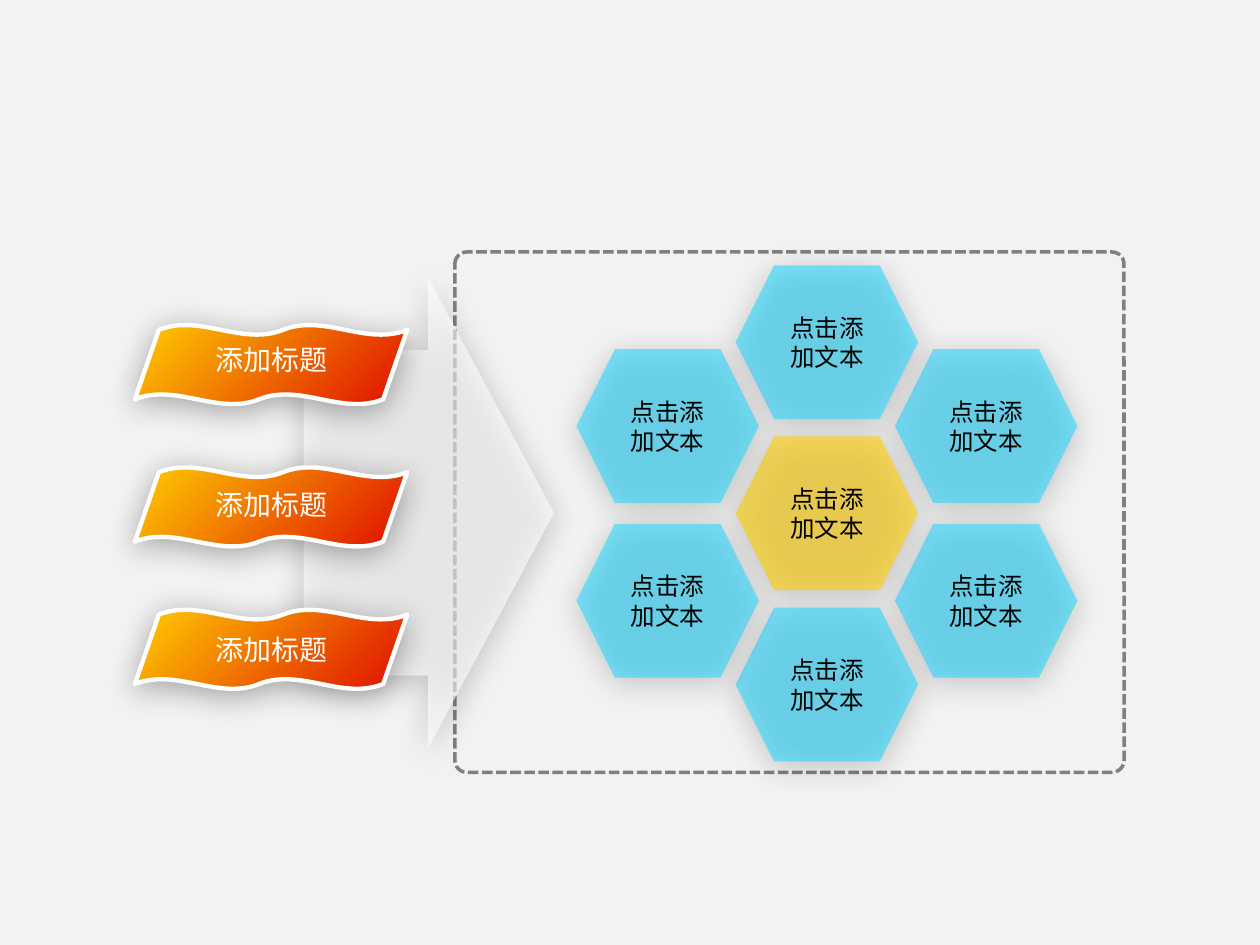
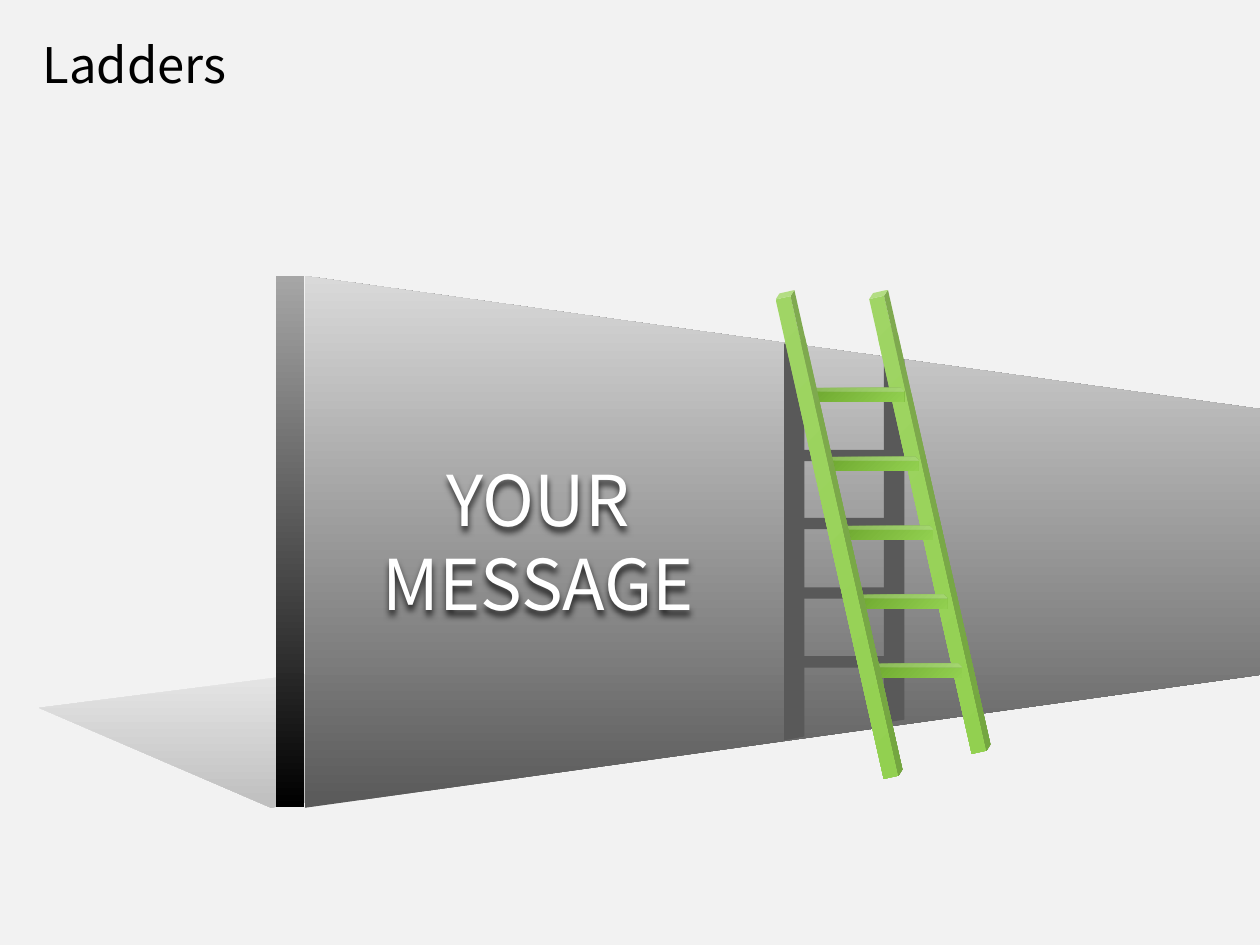
from lxml import etree
from pptx import Presentation
from pptx.dml.color import RGBColor
from pptx.enum.dml import MSO_LINE
from pptx.enum.shapes import MSO_SHAPE as Preset
from pptx.enum.text import MSO_ANCHOR as Anchor, PP_ALIGN as Align
from pptx.oxml import parse_xml
from pptx.oxml.ns import nsdecls, qn
from pptx.util import Cm, Pt

COLORS = {
    "background": "F2F2F2", "black": "000000", "white": "FFFFFF",
    "frame": "808080", "blue": "2DD7FF", "yellow": "FFCF01", "red": "E22000",
    "floor": "BFBFBF", "wall_dark": "595959", "wall_light": "D9D9D9",
    "edge_light": "A6A6A6", "green": "92D050", "green_light": "A0D565",
    "green_dark": "6BA42C",
}
CHINESE = "Noto Sans CJK SC"
LATIN = "Noto Sans CJK KR"
SOFT_SHADOW = dict(alpha=33, blur=17.8, distance=3, angle=87)
TEXT_SHADOW = dict(alpha=75, blur=4, distance=3, angle=90)


def rgb(name):
    return RGBColor.from_string(COLORS[name])


class Deck:
    def __init__(self):
        self.presentation = Presentation()
        self.presentation.slide_width = Cm(25.4)
        self.presentation.slide_height = Cm(19.05)
        self.slide = None

    def add_slide(self):
        self.slide = self.presentation.slides.add_slide(self.presentation.slide_layouts[6])
        fill = self.slide.background.fill
        fill.solid()
        fill.fore_color.rgb = rgb("background")

    def plain(self, shape, fill=None, alpha=None):
        """Remove the theme's shadow and line, and set a solid fill or none."""
        shape.shadow.inherit = False
        shape.line.fill.background()
        if fill is None:
            shape.fill.background()
            return
        shape.fill.solid()
        shape.fill.fore_color.rgb = rgb(fill)
        if alpha is not None:
            color = shape._element.spPr.find(qn("a:solidFill"))[0]
            etree.SubElement(color, qn("a:alpha"), val=str(alpha * 1000))

    def shape(self, preset, left, top, width, height, fill=None, alpha=None,
              adjustments=(), rotation=0):
        shape = self.slide.shapes.add_shape(preset, Cm(left), Cm(top), Cm(width), Cm(height))
        for index, value in enumerate(adjustments):
            shape.adjustments[index] = value
        shape.rotation = rotation
        self.plain(shape, fill, alpha)
        return shape

    def outline(self, shape, color, width, dash=None):
        shape.line.color.rgb = rgb(color)
        shape.line.width = Pt(width)
        if dash is not None:
            shape.line.dash_style = dash

    def gradient(self, shape, start, end, angle=None, end_position=100):
        """Linear at an angle, or radial from the lower right corner without one."""
        if angle is None:
            direction = '<a:path path="circle"><a:fillToRect l="100000" t="100000"/></a:path>'
        else:
            direction = f'<a:lin ang="{angle * 60000}" scaled="0"/>'
        stops = "".join(
            f'<a:gs pos="{position * 1000}"><a:srgbClr val="{COLORS[color]}"/></a:gs>'
            for position, color in ((0, start), (end_position, end)))
        shape.fill.background()
        properties = shape._element.spPr
        properties.replace(properties.find(qn("a:noFill")), parse_xml(
            f'<a:gradFill {nsdecls("a")} rotWithShape="1">'
            f'<a:gsLst>{stops}</a:gsLst>{direction}</a:gradFill>'))

    def shadow(self, shape, alpha, blur, distance, angle):
        shape.shadow.inherit = False
        effects = shape._element.spPr.find(qn("a:effectLst"))
        effects.append(parse_xml(
            f'<a:outerShdw {nsdecls("a")} blurRad="{Pt(blur)}" dist="{Pt(distance)}" '
            f'dir="{angle * 60000}" algn="ctr" rotWithShape="0">'
            f'<a:srgbClr val="{COLORS["black"]}"><a:alpha val="{alpha * 1000}"/></a:srgbClr>'
            '</a:outerShdw>'))

    def text(self, content, left, top, width, height, size, font, color="black",
             anchor=Anchor.TOP, wrap=True):
        box = self.slide.shapes.add_textbox(Cm(left), Cm(top), Cm(width), Cm(height))
        frame = box.text_frame
        frame.word_wrap = wrap
        frame.vertical_anchor = anchor
        frame.text = content
        for paragraph in frame.paragraphs:
            paragraph.alignment = Align.CENTER
            paragraph.line_spacing = Pt(size * 1.2)
            for run in paragraph.runs:
                run.font.size = Pt(size)
                run.font.name = font
                run.font.color.rgb = rgb(color)
                east_asian = etree.SubElement(run.font._element, qn("a:ea"))
                east_asian.set("typeface", font)
        return box

    def polygon(self, points):
        first, *rest = [(Cm(x), Cm(y)) for x, y in points]
        builder = self.slide.shapes.build_freeform(*first)
        builder.add_line_segments(rest, close=True)
        shape = builder.convert_to_shape()
        self.plain(shape)
        return shape

    def hexagon(self, center_x, center_y, fill):
        width, height = 3.68, 3.1
        shape = self.shape(Preset.HEXAGON, center_x - width / 2, center_y - height / 2,
                           width, height, fill, alpha=60)
        self.shadow(shape, **SOFT_SHADOW)
        self.text("点击添加文本", center_x - 1.15, center_y - 0.75, 2.3, 1.5, 14, CHINESE,
                  anchor=Anchor.MIDDLE)

    def banner(self, top, text_top):
        wave = self.shape(Preset.DOUBLE_WAVE, 2.72, top, 5.49, 1.6,
                          adjustments=(0.0625, -0.044))
        self.gradient(wave, "yellow", "red", angle=45, end_position=90)
        self.outline(wave, "white", 2.5)
        self.shadow(wave, **SOFT_SHADOW)
        self.text("添加标题", 2.9, text_top, 5.16, 0.94, 16, CHINESE, "white")

    def rail(self, left, length):
        rail = self.shape(Preset.CUBE, left, 5.77, 0.41, length, rotation=347.3)
        self.gradient(rail, "green", "green_light")

    def rung(self, left, top):
        rung = self.shape(Preset.CUBE, left, top, 2.03, 0.28)
        rung._element.spPr.find(qn("a:xfrm")).set("flipH", "1")
        self.gradient(rung, "green", "green_dark")


def build_honeycomb(deck):
    deck.add_slide()
    frame = deck.shape(Preset.ROUNDED_RECTANGLE, 9.17, 5.08, 13.49, 10.49,
                       adjustments=(0.023,))
    deck.outline(frame, "frame", 2, MSO_LINE.SQUARE_DOT)
    arrow = deck.shape(Preset.RIGHT_ARROW, 6.12, 5.59, 5.05, 9.5, "white", alpha=60,
                       adjustments=(0.691, 0.503))
    deck.shadow(arrow, **SOFT_SHADOW)

    center_x, center_y, column_step = 16.67, 10.35, 3.21
    side_offsets, middle_offsets = (-1.76, 1.76), (-3.45, 0, 3.45)
    for column, offsets in ((1, side_offsets), (0, middle_offsets), (-1, side_offsets)):
        for offset in offsets:
            is_core = column == 0 and offset == 0
            deck.hexagon(center_x + column * column_step, center_y + offset,
                         "yellow" if is_core else "blue")
    for row in range(3):
        deck.banner(6.55 + 2.87 * row, 6.78 + 2.92 * row)


def build_ladder(deck):
    deck.add_slide()
    floor_shadow = deck.polygon([(0.79, 14.27), (13.13, 12.7), (13.13, 15.09),
                                 (5.46, 16.28), ])
    deck.gradient(floor_shadow, "background", "floor", angle=90)
    wall_edge = deck.shape(Preset.RECTANGLE, 5.56, 5.56, 0.58, 10.72)
    deck.gradient(wall_edge, "black", "edge_light", angle=270)
    wall = deck.shape(Preset.TRAPEZOID, 10.41, 1.3, 10.72, 19.25, rotation=90)
    deck.gradient(wall, "wall_dark", "wall_light", angle=180)

    for left, top, length, slant in ((12.01, 10.72, 8, 0.19), (14.33, 10.67, 7.39, 0.15)):
        deck.shape(Preset.TRAPEZOID, left, top, length, 0.41, "wall_dark",
                   adjustments=(slant,), rotation=90)
    for top in (7.87, 9.07, 10.44, 11.84, 13.23):
        deck.shape(Preset.RECTANGLE, 16.03, top, 2.03, 0.23, "wall_dark")

    deck.rail(18.54, 9.5)
    for step in range(5):
        deck.rung(16.2 + 0.29 * step, 7.82 + 1.39 * step)
    deck.rail(16.71, 10.01)

    message = deck.text("YOUR\nMESSAGE", 6.2, 8.8, 9.3, 4.2, 40, LATIN, "white",
                        anchor=Anchor.MIDDLE)
    deck.shadow(message, **TEXT_SHADOW)
    deck.text("Ladders", 0.58, 0.58, 4.27, 1.45, 28, LATIN, wrap=False)


def main():
    deck = Deck()
    build_honeycomb(deck)
    build_ladder(deck)
    deck.presentation.save("out.pptx")


if __name__ == "__main__":
    main()
